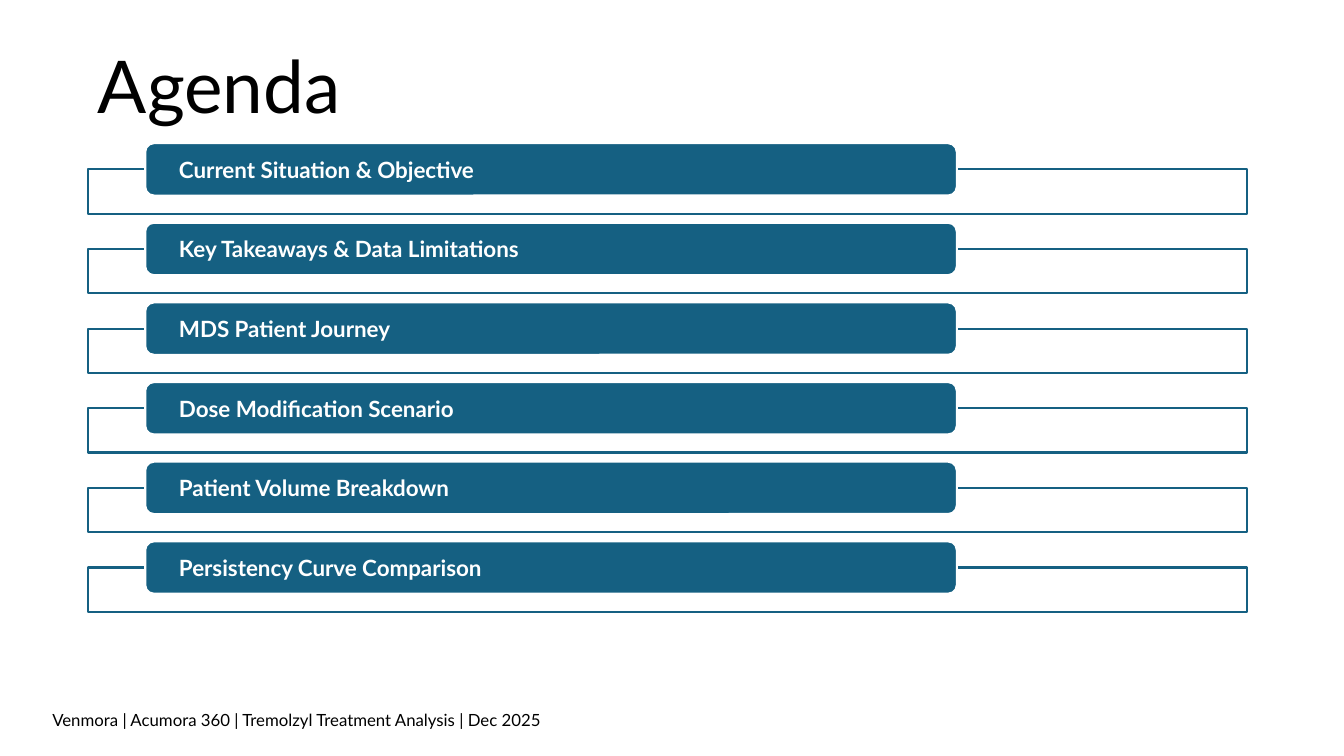
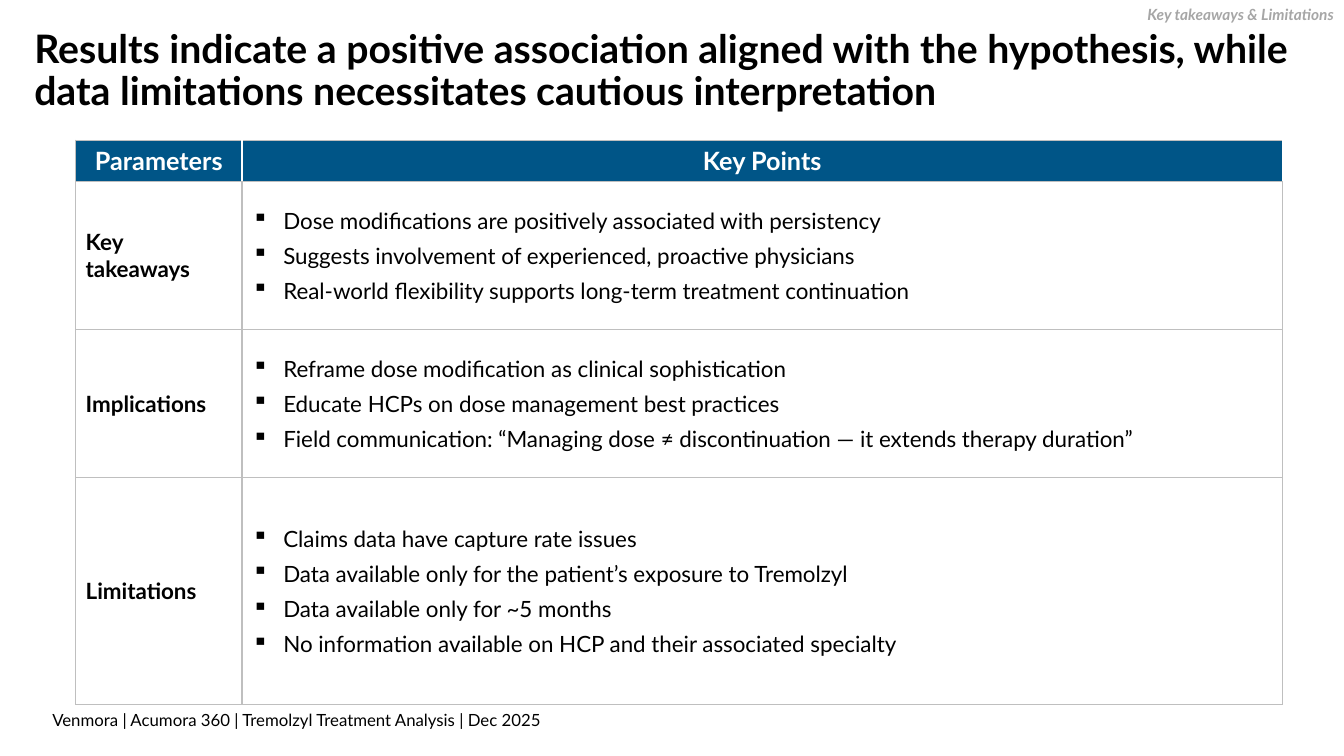
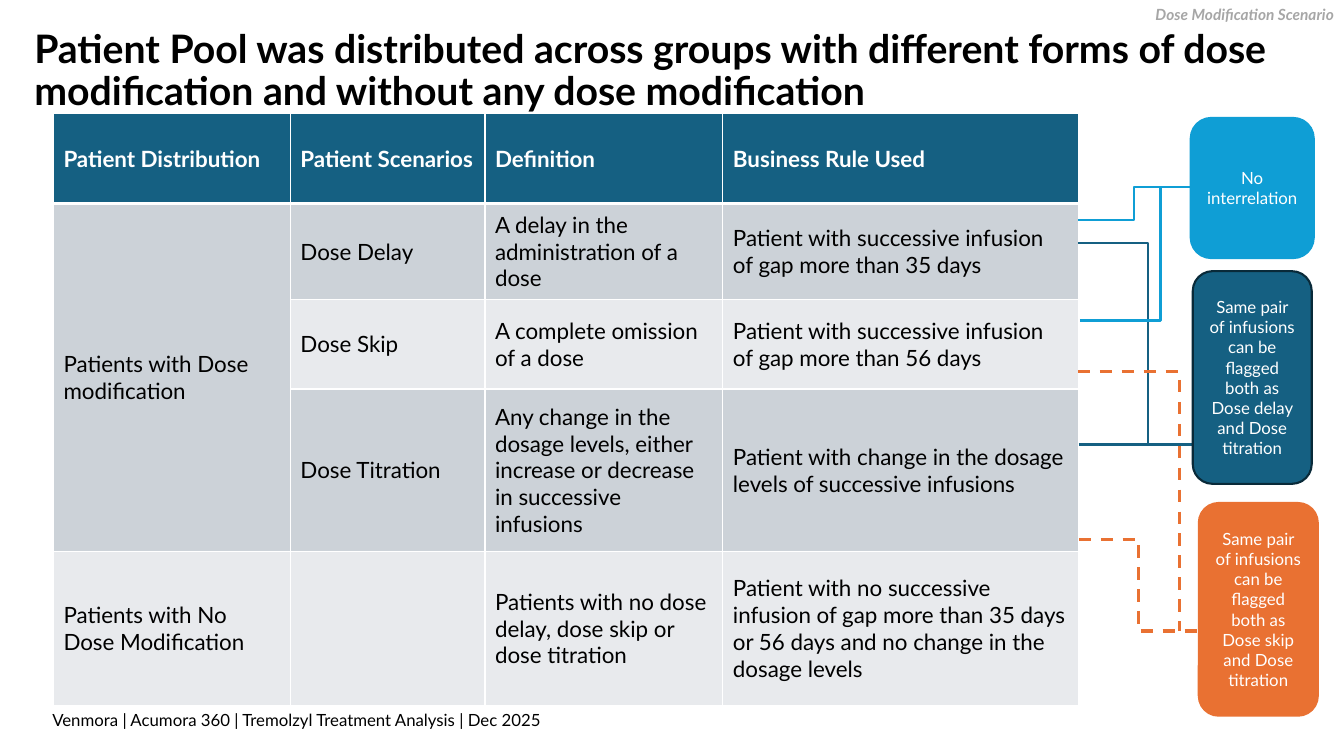
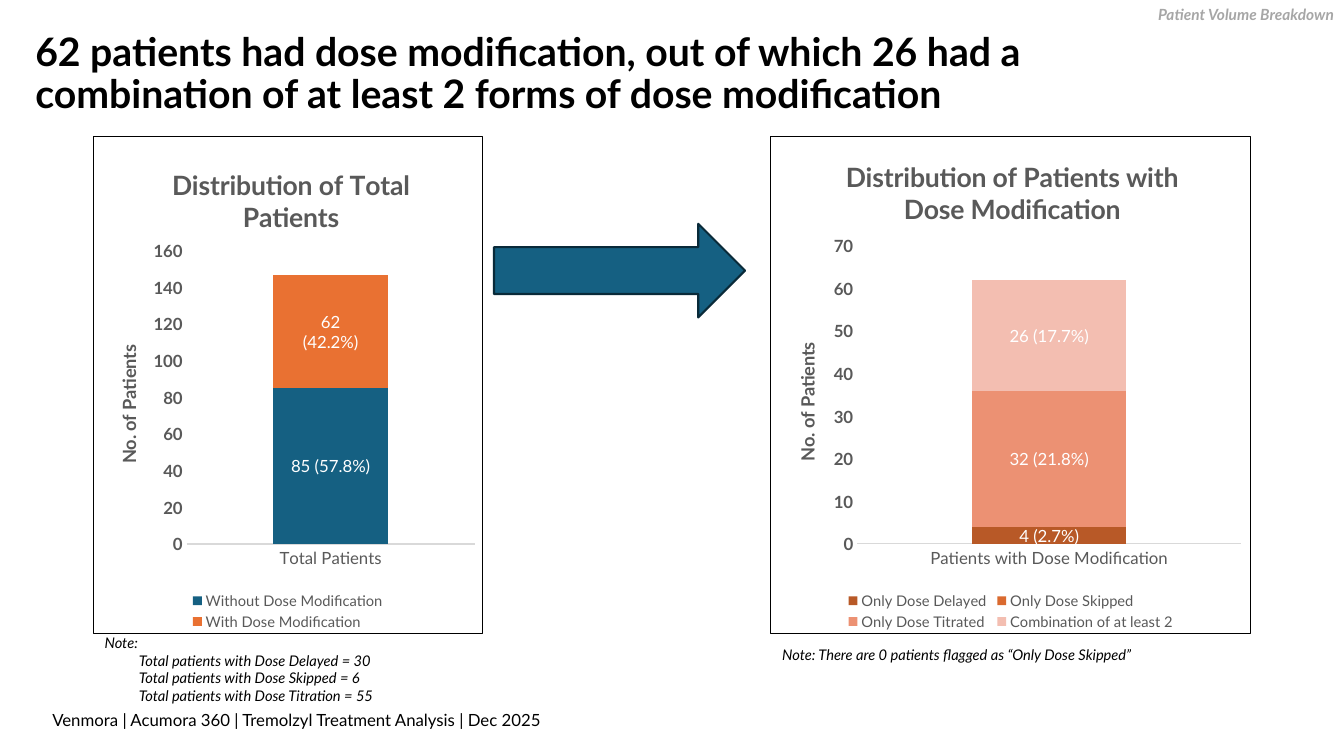
from dataclasses import dataclass
from typing import Any, NamedTuple, Optional

from lxml import etree
from pptx import Presentation
from pptx.chart.data import CategoryChartData
from pptx.dml.color import RGBColor
from pptx.enum.chart import (XL_CHART_TYPE, XL_LABEL_POSITION,
                             XL_LEGEND_POSITION, XL_TICK_MARK)
from pptx.enum.dml import MSO_LINE
from pptx.enum.shapes import MSO_CONNECTOR, MSO_SHAPE
from pptx.enum.text import MSO_ANCHOR, MSO_AUTO_SIZE, PP_ALIGN
from pptx.oxml.ns import qn
from pptx.util import Inches, Pt

LEFT, CENTER, RIGHT = PP_ALIGN.LEFT, PP_ALIGN.CENTER, PP_ALIGN.RIGHT
TOP, MIDDLE = MSO_ANCHOR.TOP, MSO_ANCHOR.MIDDLE
RECTANGLE, ROUNDED = MSO_SHAPE.RECTANGLE, MSO_SHAPE.ROUNDED_RECTANGLE
RIGHT_ARROW = MSO_SHAPE.RIGHT_ARROW
STRAIGHT, ELBOW = MSO_CONNECTOR.STRAIGHT, MSO_CONNECTOR.ELBOW
NO_TICKS = XL_TICK_MARK.NONE

# Colours
BLACK = RGBColor(0x00, 0x00, 0x00)
WHITE = RGBColor(0xFF, 0xFF, 0xFF)
TEAL = RGBColor(0x15, 0x60, 0x82)
DARK_TEAL = RGBColor(0x09, 0x2A, 0x39)
NAVY = RGBColor(0x00, 0x55, 0x87)
SKY = RGBColor(0x0F, 0x9E, 0xD5)
ORANGE = RGBColor(0xE9, 0x71, 0x32)
RUST = RGBColor(0xB8, 0x59, 0x27)
DEEP_ORANGE = RGBColor(0xDA, 0x6A, 0x2F)
SALMON = RGBColor(0xEC, 0x91, 0x73)
PINK = RGBColor(0xF3, 0xBE, 0xB1)
BAND_DARK = RGBColor(0xCC, 0xD2, 0xD8)
BAND_LIGHT = RGBColor(0xE8, 0xEA, 0xED)
GRID_GRAY = RGBColor(0xBF, 0xBF, 0xBF)
TAG_GRAY = RGBColor(0xA6, 0xA6, 0xA6)
CHART_GRAY = RGBColor(0x59, 0x59, 0x59)
AXIS_GRAY = RGBColor(0xD9, 0xD9, 0xD9)

Format = dict[str, Any]


def font_format(size: float, color: RGBColor = BLACK, bold: bool = False,
                italic: bool = False) -> Format:
    return {"name": "Lato", "size": Pt(size), "bold": bold,
            "italic": italic, "color": color}


# Text formats
AGENDA_TITLE = font_format(52)
TITLE = font_format(28, bold=True)
FOOTER = font_format(12)
TAG = font_format(11, TAG_GRAY, bold=True, italic=True)
BAR = font_format(16, WHITE, bold=True)
BODY = font_format(16)
BODY_BOLD = font_format(16, bold=True)
KEY_HEADER = font_format(18, WHITE, bold=True)
CALLOUT = font_format(12, WHITE)
NOTE = font_format(10.5, italic=True)

FOOTER_TEXT = "Venmora | Acumora 360 | Tremolzyl Treatment Analysis | Dec 2025"


class Box(NamedTuple):
    left: float
    top: float
    width: float
    height: float

    def lengths(self) -> list[int]:
        return [Inches(value) for value in self]


@dataclass
class Callout:
    text: str
    box: Box
    fill: RGBColor
    line: RGBColor


@dataclass
class Link:
    start: tuple[float, float]
    end: tuple[float, float]
    color: RGBColor
    bend: Optional[float] = None  # share of the width before the turn
    dashed: bool = False


@dataclass
class Series:
    name: str
    value: int
    color: RGBColor
    label: str = ""


@dataclass
class PatientChart:
    box: Box
    title: str
    category: str
    series: list[Series]
    title_at: tuple[float, ...]
    plot_at: tuple[float, ...]
    legend_at: tuple[float, ...]


# Text helpers
def apply_format(font: Any, values: Format) -> None:
    for name, value in values.items():
        if name == "color":
            font.color.rgb = value
        else:
            setattr(font, name, value)


def write(frame: Any, lines: list[str], values: Format,
          align: PP_ALIGN = LEFT) -> list[Any]:
    """Fill a text frame, one paragraph a line."""
    paragraphs = []
    for index, line in enumerate(lines):
        paragraph = frame.paragraphs[0] if index == 0 else frame.add_paragraph()
        paragraph.alignment = align
        run = paragraph.add_run()
        run.text = line
        apply_format(run.font, values)
        paragraphs.append(paragraph)
    return paragraphs


def add_text(slide: Any, box: Box, lines: list[str], values: Format,
             align: PP_ALIGN = LEFT, anchor: MSO_ANCHOR = TOP) -> list[Any]:
    frame = slide.shapes.add_textbox(*box.lengths()).text_frame
    frame.word_wrap = True
    frame.vertical_anchor = anchor
    return write(frame, lines, values, align)


def add_box(slide: Any, kind: MSO_SHAPE, box: Box, fill: RGBColor,
            line: RGBColor) -> Any:
    shape = slide.shapes.add_shape(kind, *box.lengths())
    shape.shadow.inherit = False
    shape.fill.solid()
    shape.fill.fore_color.rgb = fill
    shape.line.color.rgb = line
    shape.line.width = Pt(1.5)
    shape.text_frame.word_wrap = True
    shape.text_frame.vertical_anchor = MIDDLE
    return shape


def new_slide(deck: Any, title: str, tag: str = "",
              box: Box = Box(0.24, 0.29, 12.8, 0.84),
              values: Format = TITLE) -> Any:
    """Slide with the shared title, footer and corner tag."""
    slide = deck.slides.add_slide(deck.slide_layouts[5])
    heading = slide.shapes.title
    heading.left, heading.top, heading.width, heading.height = box.lengths()
    frame = heading.text_frame
    frame.auto_size = MSO_AUTO_SIZE.NONE
    frame.word_wrap = True
    frame.vertical_anchor = MIDDLE
    write(frame, [title], values)[0].line_spacing = 0.9
    add_text(slide, Box(0.42, 6.99, 10.15, 0.37), [FOOTER_TEXT], FOOTER)
    if tag:
        add_text(slide, Box(10.33, 0, 3, 0.29), [tag], TAG, RIGHT)
    return slide


# Table helpers
def set_borders(cell: Any, **sides: tuple[RGBColor, float]) -> None:
    """Draw cell borders; the sides are L, R, T and B, in that order."""
    properties = cell._tc.get_or_add_tcPr()
    for side, (color, width) in sides.items():
        line = etree.SubElement(properties, qn(f"a:ln{side}"), w=str(Pt(width)))
        fill = etree.SubElement(line, qn("a:solidFill"))
        etree.SubElement(fill, qn("a:srgbClr"), val=str(color))


def add_table(slide: Any, box: Box, columns: list[float],
              rows: list[float]) -> Any:
    table = slide.shapes.add_table(len(rows), len(columns),
                                   *box.lengths()).table
    table.first_row = table.horz_banding = False
    for column, width in zip(table.columns, columns):
        column.width = Inches(width)
    for row, height in zip(table.rows, rows):
        row.height = Inches(height)
    for cell in table.iter_cells():
        cell.vertical_anchor = MIDDLE
    return table


def fill_cell(cell: Any, color: RGBColor) -> None:
    cell.fill.solid()
    cell.fill.fore_color.rgb = color


def add_bullet(paragraph: Any) -> None:
    properties = paragraph._p.get_or_add_pPr()
    properties.set("marL", str(Inches(0.31)))
    properties.set("indent", str(-Inches(0.31)))
    color = etree.SubElement(properties, qn("a:buClr"))
    etree.SubElement(color, qn("a:srgbClr"), val=str(BLACK))
    etree.SubElement(properties, qn("a:buChar"), char="▪")


# Connector helper
def add_link(slide: Any, link: Link) -> None:
    kind = STRAIGHT if link.bend is None else ELBOW
    ends = [Inches(value) for value in link.start + link.end]
    connector = slide.shapes.add_connector(kind, *ends)
    connector.line.color.rgb = link.color
    connector.line.width = Pt(2.25 if link.dashed else 1.5)
    if link.dashed:
        connector.line.dash_style = MSO_LINE.DASH
    properties = connector._element.spPr
    etree.SubElement(properties, qn("a:effectLst"))
    if link.bend is not None:
        geometry = properties.find(qn("a:prstGeom"))
        guides = geometry.find(qn("a:avLst"))
        if guides is None:
            guides = etree.SubElement(geometry, qn("a:avLst"))
        etree.SubElement(guides, qn("a:gd"), name="adj1",
                         fmla=f"val {round(link.bend * 100000)}")


# Chart helpers
def set_layout(parent: Any, place: tuple[float, ...], index: int = 1,
               inner: bool = False) -> None:
    """Place a chart part by shares of the chart's size: x, y, w, h."""
    layout = parent.find(qn("c:layout"))
    if layout is None:
        layout = etree.Element(qn("c:layout"))
        parent.insert(index, layout)
    manual = etree.SubElement(layout, qn("c:manualLayout"))
    values = {"layoutTarget": "inner"} if inner else {}
    values.update(xMode="edge", yMode="edge")
    values.update(zip("xywh", map(str, place)))
    for name, value in values.items():
        etree.SubElement(manual, qn(f"c:{name}"), val=value)


def add_chart_border(chart: Any) -> None:
    area = etree.Element(qn("c:spPr"))
    fill = etree.SubElement(area, qn("a:solidFill"))
    etree.SubElement(fill, qn("a:srgbClr"), val=str(WHITE))
    line = etree.SubElement(area, qn("a:ln"), w=str(Pt(0.75)))
    fill = etree.SubElement(line, qn("a:solidFill"))
    etree.SubElement(fill, qn("a:srgbClr"), val=str(BLACK))
    chart._chartSpace.find(qn("c:chart")).addnext(area)


def add_patient_chart(slide: Any, item: PatientChart) -> None:
    data = CategoryChartData()
    data.categories = [item.category]
    for series in item.series:
        data.add_series(series.name, [series.value])
    chart = slide.shapes.add_chart(XL_CHART_TYPE.COLUMN_STACKED,
                                   *item.box.lengths(), data).chart
    apply_format(chart.font, font_format(10))
    add_chart_border(chart)

    chart.has_title = True
    write(chart.chart_title.text_frame, item.title.split("\n"),
          font_format(19, CHART_GRAY, bold=True), CENTER)
    set_layout(chart.chart_title._element, item.title_at)

    chart.has_legend = True
    chart.legend.position = XL_LEGEND_POSITION.BOTTOM
    chart.legend.include_in_layout = False
    apply_format(chart.legend.font, font_format(10.5, CHART_GRAY))
    set_layout(chart.legend._element, item.legend_at)

    categories, values = chart.category_axis, chart.value_axis
    for axis, bold in ((categories, False), (values, True)):
        axis.has_major_gridlines = False
        axis.major_tick_mark = axis.minor_tick_mark = NO_TICKS
        apply_format(axis.tick_labels.font, font_format(12, CHART_GRAY, bold))
    categories.format.line.color.rgb = AXIS_GRAY
    categories.format.line.width = Pt(0.75)
    values.format.line.fill.background()
    values.has_title = True
    write(values.axis_title.text_frame, ["No. of Patients"],
          font_format(13, CHART_GRAY, bold=True), CENTER)

    plot = chart.plots[0]
    plot.gap_width, plot.overlap, plot.vary_by_categories = 150, 100, False
    set_layout(chart._chartSpace.chart.plotArea, item.plot_at, 0, inner=True)
    for column, series in zip(plot.series, item.series):
        column.format.fill.solid()
        column.format.fill.fore_color.rgb = series.color
        if series.label:
            label = column.points[0].data_label
            write(label.text_frame, series.label.split("\n"), CALLOUT, CENTER)
            label.position = XL_LABEL_POSITION.CENTER


# Slides
def build_agenda(deck: Any) -> None:
    slide = new_slide(deck, "Agenda", box=Box(0.87, 0.27, 11.5, 1.24),
                      values=AGENDA_TITLE)
    topics = ["Current Situation & Objective",
              "Key Takeaways & Data Limitations", "MDS Patient Journey",
              "Dose Modification Scenario", "Patient Volume Breakdown",
              "Persistency Curve Comparison"]
    for index, topic in enumerate(topics):
        top = 1.42 + index * 0.79
        add_box(slide, RECTANGLE, Box(0.87, top + 0.26, 11.5, 0.44), WHITE, TEAL)
        bar = add_box(slide, ROUNDED, Box(1.44, top, 8.05, 0.52), TEAL, WHITE)
        bar.text_frame.margin_left = Inches(0.31)
        write(bar.text_frame, [topic], BAR)


def build_takeaways(deck: Any) -> None:
    slide = new_slide(
        deck, "Results indicate a positive association aligned with the "
        "hypothesis, while data limitations necessitates cautious "
        "interpretation", "Key takeaways & Limitations")
    points = {
        "Key takeaways": [
            "Dose modifications are positively associated with persistency",
            "Suggests involvement of experienced, proactive physicians",
            "Real-world flexibility supports long-term treatment continuation"],
        "Implications": [
            "Reframe dose modification as clinical sophistication",
            "Educate HCPs on dose management best practices",
            "Field communication: “Managing dose ≠ discontinuation — "
            "it extends therapy duration”"],
        "Limitations": [
            "Claims data have capture rate issues",
            "Data available only for the patient’s exposure to Tremolzyl",
            "Data available only for ~5 months",
            "No information available on HCP and their associated specialty"],
    }
    table = add_table(slide, Box(0.75, 1.39, 11.97, 5.6), [1.65, 10.32],
                      [0.41, 1.47, 1.47, 2.25])
    gray, white = (GRID_GRAY, 1), (WHITE, 1)
    for column, header in enumerate(["Parameters", "Key Points"]):
        cell = table.cell(0, column)
        set_borders(cell, L=white if column else gray, R=white, T=gray, B=gray)
        fill_cell(cell, NAVY)
        write(cell.text_frame, [header], KEY_HEADER, CENTER)
    for row, (parameter, lines) in enumerate(points.items(), start=1):
        for column in range(2):
            cell = table.cell(row, column)
            set_borders(cell, L=gray, R=gray, T=gray, B=gray)
            cell.fill.background()
        write(table.cell(row, 0).text_frame, [parameter], BODY_BOLD)
        bullets = write(table.cell(row, 1).text_frame, lines, BODY)
        for index, bullet in enumerate(bullets):
            bullet.space_before = Pt(3 if index else 0)
            bullet.space_after = Pt(3)
            add_bullet(bullet)


def build_scenarios(deck: Any) -> None:
    slide = new_slide(
        deck, "Patient Pool was distributed across groups with different "
        "forms of dose modification and without any dose modification",
        "Dose Modification Scenario")
    rows = [
        ["Patient Distribution", "Patient Scenarios", "Definition",
         "Business Rule Used"],
        ["Patients with Dose modification", "Dose Delay",
         "A delay in the administration of a dose",
         "Patient with successive infusion of gap more than 35 days"],
        ["", "Dose Skip", "A complete omission of a dose",
         "Patient with successive infusion of gap more than 56 days"],
        ["", "Dose Titration",
         "Any change in the dosage levels, either increase or decrease in "
         "successive infusions",
         "Patient with change in the dosage levels of successive infusions"],
        ["Patients with No Dose Modification", "",
         "Patients with no dose delay, dose skip or dose titration",
         "Patient with no successive infusion of gap more than 35 days or "
         "56 days and no change in the dosage levels"],
    ]
    table = add_table(slide, Box(0.53, 1.13, 10.17, 5.86),
                      [2.35, 1.93, 2.36, 3.53], [0.89, 0.95, 0.89, 1.61, 1.53])
    table.cell(1, 0).merge(table.cell(3, 0))
    thin, thick = (WHITE, 1), (WHITE, 3)
    for row, texts in enumerate(rows):
        band = BAND_DARK if row % 2 else BAND_LIGHT
        for column, text in enumerate(texts):
            cell = table.cell(row, column)
            set_borders(cell, L=thin, R=thin, T=thick if row == 1 else thin,
                        B=thin if row else thick)
            fill_cell(cell, band if row else TEAL)
            if text:
                write(cell.text_frame, [text], BODY if row else BAR)

    # Links between rows and callouts
    links = [
        Link((10.7, 4.41), (11.83, 4.41), TEAL),
        Link((10.69, 2.41), (11.39, 4.41), TEAL, 1),
        Link((10.7, 5.35), (11.89, 6.26), ORANGE, 0.5, True),
        Link((10.69, 3.69), (11.7, 6.26), ORANGE, 1, True),
        Link((10.69, 2.18), (11.81, 1.86), SKY, 0.5),
        Link((10.71, 3.18), (11.51, 1.86), SKY, 1),
    ]
    for link in links:
        add_link(slide, link)
    shared_pair = "Same pair of infusions can be flagged both as {} and Dose titration"
    callouts = [
        Callout("No interrelation", Box(11.81, 1.17, 1.22, 1.39), SKY, SKY),
        Callout(shared_pair.format("Dose delay"),
                Box(11.83, 2.69, 1.18, 2.11), TEAL, DARK_TEAL),
        Callout(shared_pair.format("Dose skip"),
                Box(11.89, 4.99, 1.18, 2.11), ORANGE, ORANGE),
    ]
    for callout in callouts:
        shape = add_box(slide, ROUNDED, callout.box, callout.fill, callout.line)
        write(shape.text_frame, [callout.text], CALLOUT, CENTER)


def build_volumes(deck: Any) -> None:
    slide = new_slide(
        deck, "62 patients had dose modification, out of which 26 had a "
        "combination of at least 2 forms of dose modification",
        "Patient Volume Breakdown", Box(0.25, 0.32, 12.04, 0.84))
    charts = [
        PatientChart(
            Box(0.92, 1.35, 3.87, 4.94), "Distribution of Total Patients",
            "Total Patients",
            [Series("Without Dose Modification", 85, TEAL, "85 (57.8%)"),
             Series("With Dose Modification", 62, ORANGE, "62\n(42.2%)")],
            (0.19, 0.05), (0.24, 0.23, 0.74, 0.59), (0.24, 0.91, 0.52, 0.09)),
        PatientChart(
            Box(7.64, 1.35, 4.77, 4.94),
            "Distribution of Patients with\nDose Modification",
            "Patients with Dose Modification",
            [Series("Only Dose Delayed", 4, RUST, "4 (2.7%)"),
             Series("Only Dose Skipped", 0, DEEP_ORANGE),
             Series("Only Dose Titrated", 32, SALMON, "32 (21.8%)"),
             Series("Combination of at least 2", 26, PINK, "26 (17.7%)")],
            (0.15, 0.04), (0.18, 0.22, 0.8, 0.6), (0.15, 0.91, 0.7, 0.09)),
    ]
    for chart in charts:
        add_patient_chart(slide, chart)
    add_box(slide, RIGHT_ARROW, Box(4.9, 2.22, 2.49, 0.93), TEAL, DARK_TEAL)

    # Notes under the charts
    counts = {"Delayed": 30, "Skipped": 6, "Titration": 55}
    totals = [f"Total patients with Dose {form} = {count}"
              for form, count in counts.items()]
    note = add_text(slide, Box(0.94, 6.29, 5.5, 0.7), ["Note:"] + totals, NOTE,
                    anchor=MIDDLE)
    for total in note[1:]:
        total._p.get_or_add_pPr().set("marL", str(Inches(0.34)))
    add_text(slide, Box(7.66, 6.35, 4.75, 0.29),
             ["Note: There are 0 patients flagged as “Only Dose Skipped”"],
             NOTE, anchor=MIDDLE)


def main() -> None:
    deck = Presentation()
    deck.slide_width, deck.slide_height = Inches(13.33), Inches(7.5)
    for build in (build_agenda, build_takeaways, build_scenarios, build_volumes):
        build(deck)
    deck.save("out.pptx")


if __name__ == "__main__":
    main()
